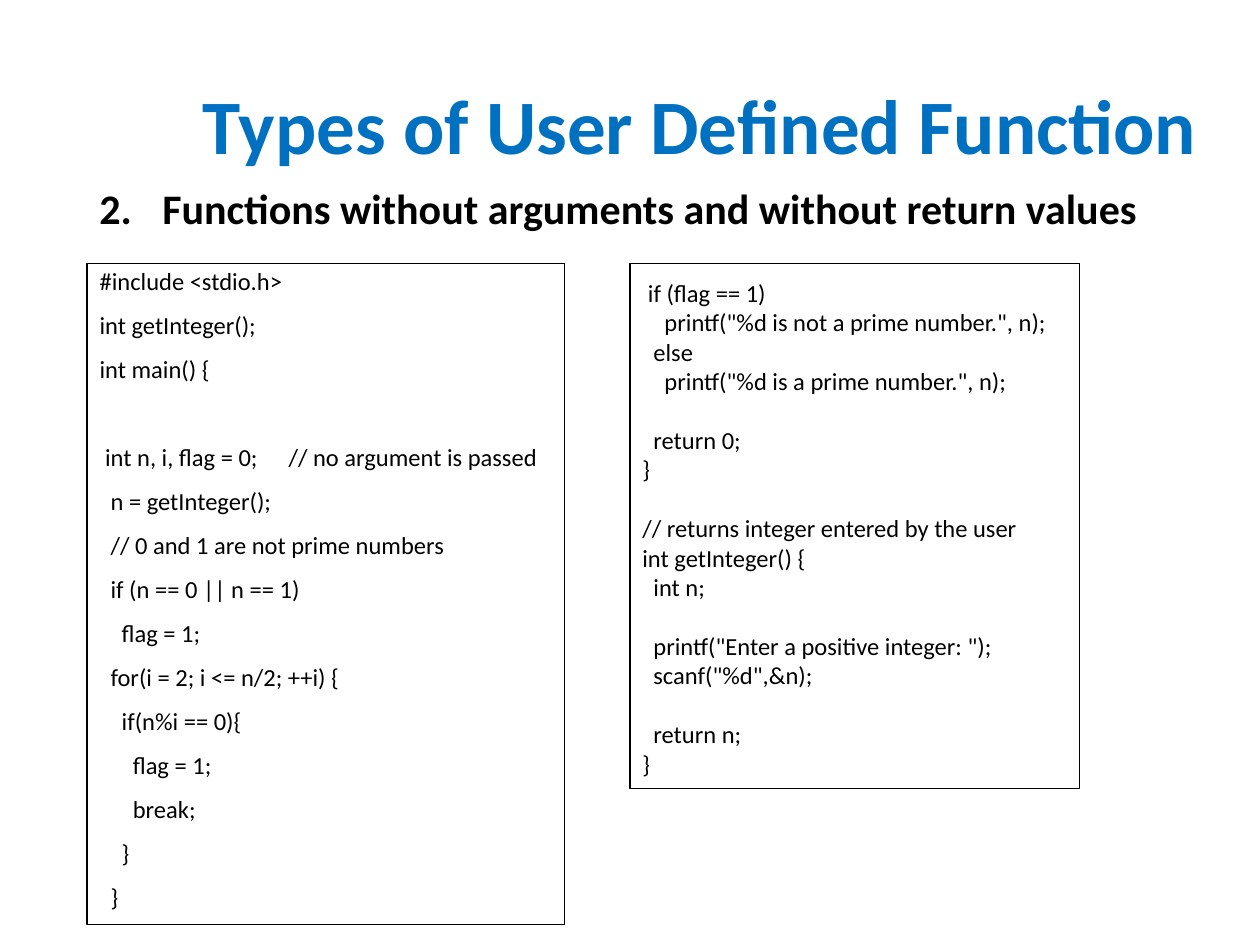
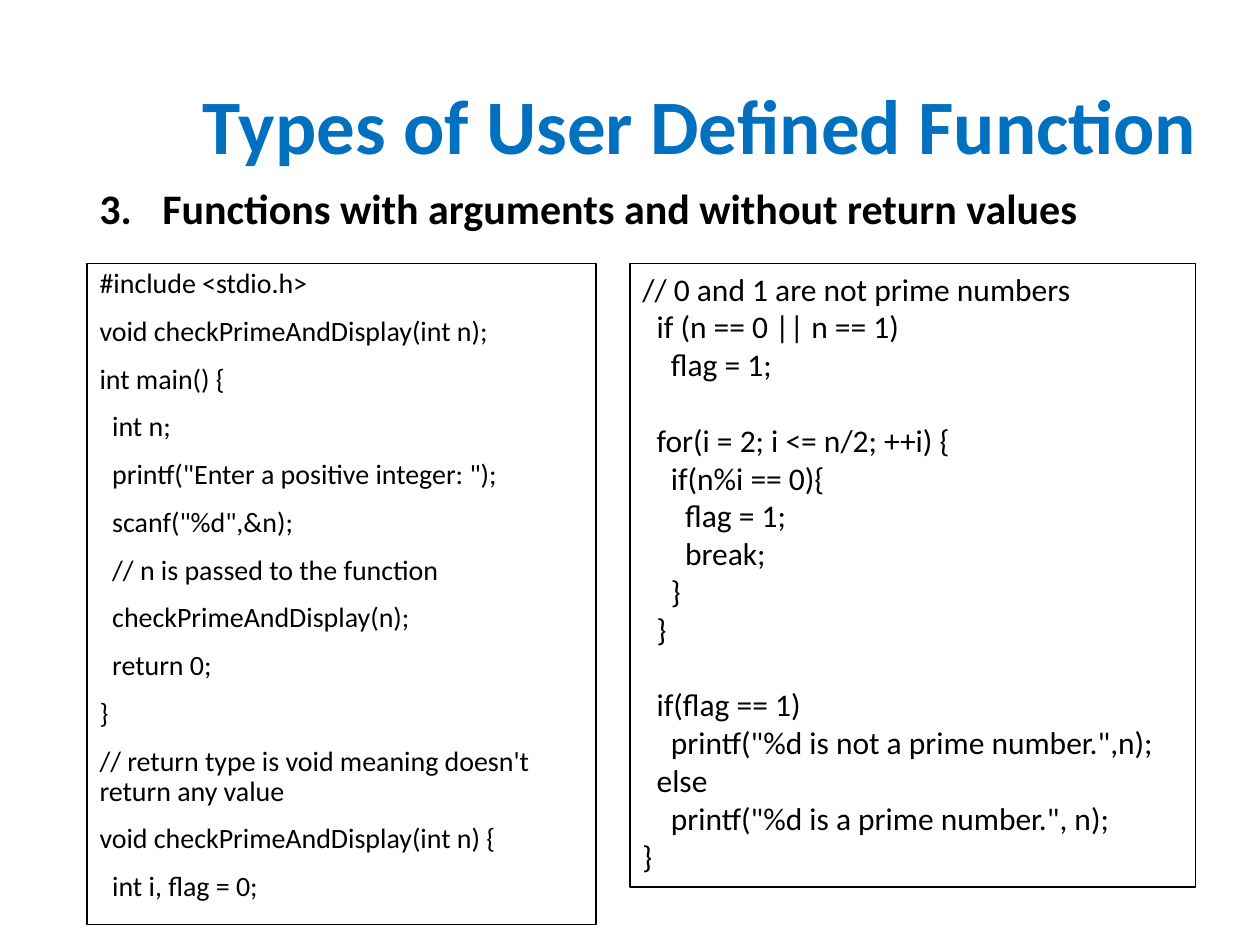
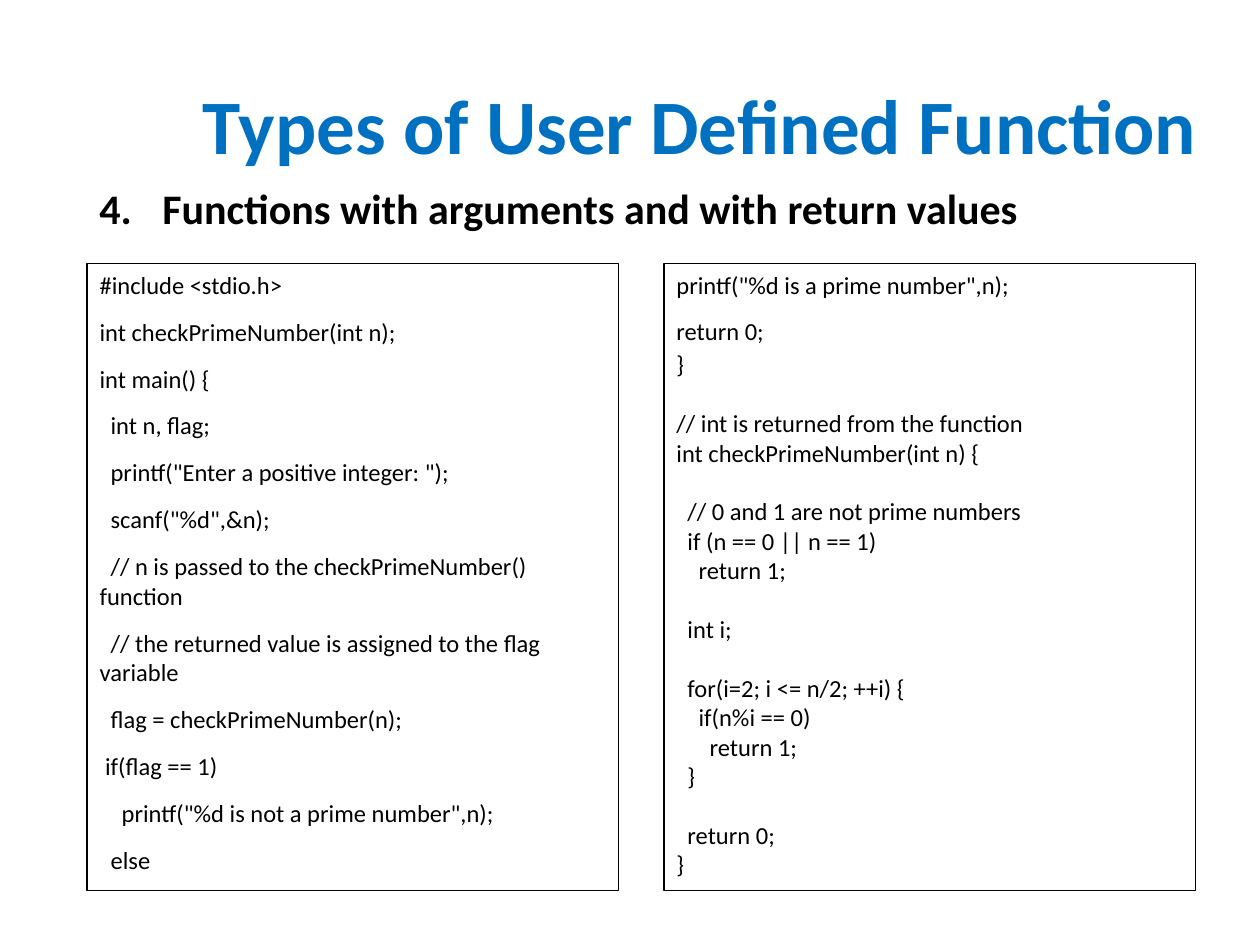
import pptx
import pptx.dml.color
import pptx.enum.text
import pptx.oxml.ns
import pptx.util
from lxml import etree

Inches, Pt = pptx.util.Inches, pptx.util.Pt
Align, Anchor = pptx.enum.text.PP_ALIGN, pptx.enum.text.MSO_ANCHOR
Fit = pptx.enum.text.MSO_AUTO_SIZE

TITLE = "Types of User Defined Function"
LINE_HEIGHT = 1.2    # single line spacing, in font sizes
SPACE_WIDTH = 0.226  # width of a space, in font sizes
LEFT, CODE_TOP = 0.69, 2.09

GET_INTEGER_MAIN = """\
#include <stdio.h>
int getInteger();
int main() {

 int n, i, flag = 0;\t// no argument is passed
  n = getInteger();
  // 0 and 1 are not prime numbers
  if (n == 0 || n == 1)
    flag = 1;
  for(i = 2; i <= n/2; ++i) {
    if(n%i == 0){
      flag = 1;
      break;
    }
  }"""

GET_INTEGER_REST = """\
 if (flag == 1)
    printf("%d is not a prime number.", n);
  else
    printf("%d is a prime number.", n);

  return 0;
}

// returns integer entered by the user
int getInteger() {
  int n;

  printf("Enter a positive integer: ");
  scanf("%d",&n);

  return n;
}"""

CHECK_DISPLAY_MAIN = """\
#include <stdio.h>
void checkPrimeAndDisplay(int n);
int main() {
  int n;
  printf("Enter a positive integer: ");
  scanf("%d",&n);
  // n is passed to the function
  checkPrimeAndDisplay(n);
  return 0;
}
// return type is void meaning doesn't return any value
void checkPrimeAndDisplay(int n) {
  int i, flag = 0;"""

CHECK_DISPLAY_REST = """\
// 0 and 1 are not prime numbers
  if (n == 0 || n == 1)
    flag = 1;

  for(i = 2; i <= n/2; ++i) {
    if(n%i == 0){
      flag = 1;
      break;
    }
  }

  if(flag == 1)
    printf("%d is not a prime number.",n);
  else
    printf("%d is a prime number.", n);
}"""

CHECK_NUMBER_MAIN = """\
#include <stdio.h>
int checkPrimeNumber(int n);
int main() {
  int n, flag;
  printf("Enter a positive integer: ");
  scanf("%d",&n);
  // n is passed to the checkPrimeNumber() function
  // the returned value is assigned to the flag variable
  flag = checkPrimeNumber(n);
 if(flag == 1)
    printf("%d is not a prime number",n);
  else"""

CHECK_NUMBER_REST = """\
printf("%d is a prime number",n);
return 0;
}

// int is returned from the function
int checkPrimeNumber(int n) {

  // 0 and 1 are not prime numbers
  if (n == 0 || n == 1)
    return 1;

  int i;

  for(i=2; i <= n/2; ++i) {
    if(n%i == 0)
      return 1;
  }

  return 0;
}"""


def rgb(color):
    return pptx.dml.color.RGBColor.from_string(color)


def add_xml(parent, tag, **attributes):
    names = {key: str(value) for key, value in attributes.items()}
    return etree.SubElement(parent, pptx.oxml.ns.qn(tag), names)


class Deck:
    FONT, TEXT, ACCENT = "Calibri", "000000", "0070C0"

    def __init__(self):
        self.prs = pptx.Presentation()
        self.prs.slide_width, self.prs.slide_height = Inches(10), Inches(7.5)
        self.s = None

    def place(self, sp, left, top, width, height):
        sp.left, sp.top = Inches(left), Inches(top)
        sp.width, sp.height = Inches(width), Inches(height)

    def style(self, p, size, color=TEXT, bold=False):
        for r in p.runs:
            r.font.name, r.font.size, r.font.bold = self.FONT, Pt(size), bold
            r.font.color.rgb = rgb(color)

    def add_slide(self, number, heading):
        self.s = self.prs.slides.add_slide(self.prs.slide_layouts[1])
        self.title()
        self.heading(number, heading)

    def title(self):
        sp = self.s.shapes.title
        self.place(sp, 1.25, 0.52, 8.62, 1.02)
        tf = sp.text_frame
        tf.text = TITLE
        tf.auto_size, tf.vertical_anchor = Fit.NONE, Anchor.MIDDLE
        p = tf.paragraphs[0]
        p.alignment, p.line_spacing = Align.CENTER, 0.9
        self.style(p, 44, self.ACCENT, True)

    def heading(self, number, text):
        sp = self.s.shapes.add_textbox(Inches(LEFT), Inches(1.4), Inches(8.62), Inches(0.66))
        tf = sp.text_frame
        tf.text, tf.word_wrap = text, True
        p = tf.paragraphs[0]
        p.alignment, p.space_before = Align.JUSTIFY, Pt(10)
        self.style(p, 24, bold=True)
        pPr = p._p.get_or_add_pPr()
        pPr.set("marL", str(Inches(0.5)))
        pPr.set("indent", str(Inches(-0.5)))
        add_xml(pPr, "a:buFont", typeface="+mj-lt")
        add_xml(pPr, "a:buAutoNum", type="arabicPeriod", startAt=number)

    def outline(self, sp):
        sp.line.color.rgb, sp.line.width = rgb(self.TEXT), Pt(0.75)

    def main_code(self, code, width, height, size, spacing):
        """Put the first part of the program in the body placeholder."""
        sp = self.s.placeholders[1]
        self.place(sp, LEFT, CODE_TOP, width, height)
        self.outline(sp)
        sp.text_frame.auto_size = Fit.NONE
        self.code_lines(sp.text_frame, code, size, spacing, 10)

    def rest_code(self, code, left, width, height, size, lead=0, extra=None):
        """Put the rest in a box; lead is added on top, extra before given lines."""
        sp = self.s.shapes.add_textbox(Inches(left), Inches(CODE_TOP), Inches(width), Inches(height))
        self.outline(sp)
        tf = sp.text_frame
        tf.word_wrap, tf.auto_size = True, Fit.SHAPE_TO_FIT_TEXT
        tf.margin_top = Inches(0.05) + Pt(lead)
        self.code_lines(tf, code, size, 1.0, 0, extra or {})

    def code_lines(self, tf, code, size, spacing, before, extra={}):
        """Write code with indents for leading spaces and gaps for empty lines."""
        gap = 0
        for i, line in enumerate(code.split("\n")):
            if not line:
                gap += LINE_HEIGHT * spacing * size + before
                continue
            p = tf.add_paragraph() if i else tf.paragraphs[0]
            p.text = line.lstrip(" ")
            p.alignment, p.line_spacing = Align.LEFT, spacing
            p.space_before = Pt(before + gap + extra.get(i, 0))
            gap = 0
            self.style(p, size)
            spaces = len(line) - len(p.text)
            pPr = p._p.get_or_add_pPr()
            pPr.set("marL", "0")
            pPr.set("indent", str(Pt(spaces * SPACE_WIDTH * size)))
            add_xml(pPr, "a:buNone")
            if "\t" in line:
                tabs = add_xml(pPr, "a:tabLst")
                add_xml(tabs, "a:tab", pos=Inches(1.61), algn="l")


def main():
    deck = Deck()

    deck.add_slide(2, "Functions without arguments and without return values")
    deck.main_code(GET_INTEGER_MAIN, 3.79, 5.25, 14, 0.9)
    deck.rest_code(GET_INTEGER_REST, 5, 3.57, 4.17, 14, lead=4.8)

    deck.add_slide(3, "Functions with arguments and without return values")
    deck.main_code(CHECK_DISPLAY_MAIN, 4.04, 5.25, 16, 0.9)
    deck.rest_code(CHECK_DISPLAY_REST, 5, 4.49, 4.95, 18)

    deck.add_slide(4, "Functions with arguments and with return values")
    deck.main_code(CHECK_NUMBER_MAIN, 4.22, 4.98, 14, 1.0)
    deck.rest_code(CHECK_NUMBER_REST, 5.27, 4.22, 4.98, 14, extra={1: 9.5, 2: 2.5})

    deck.prs.save("out.pptx")


if __name__ == "__main__":
    main()
